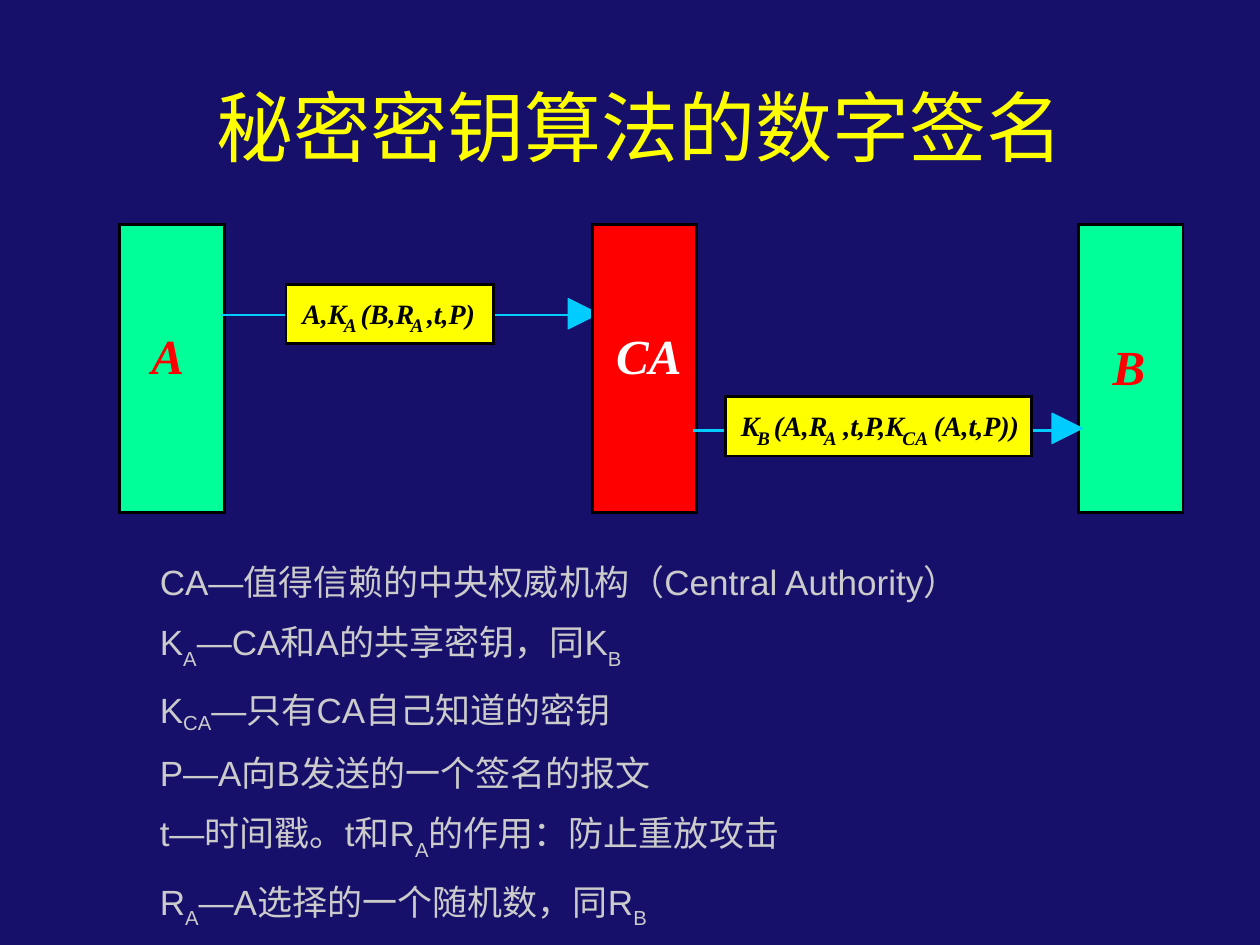
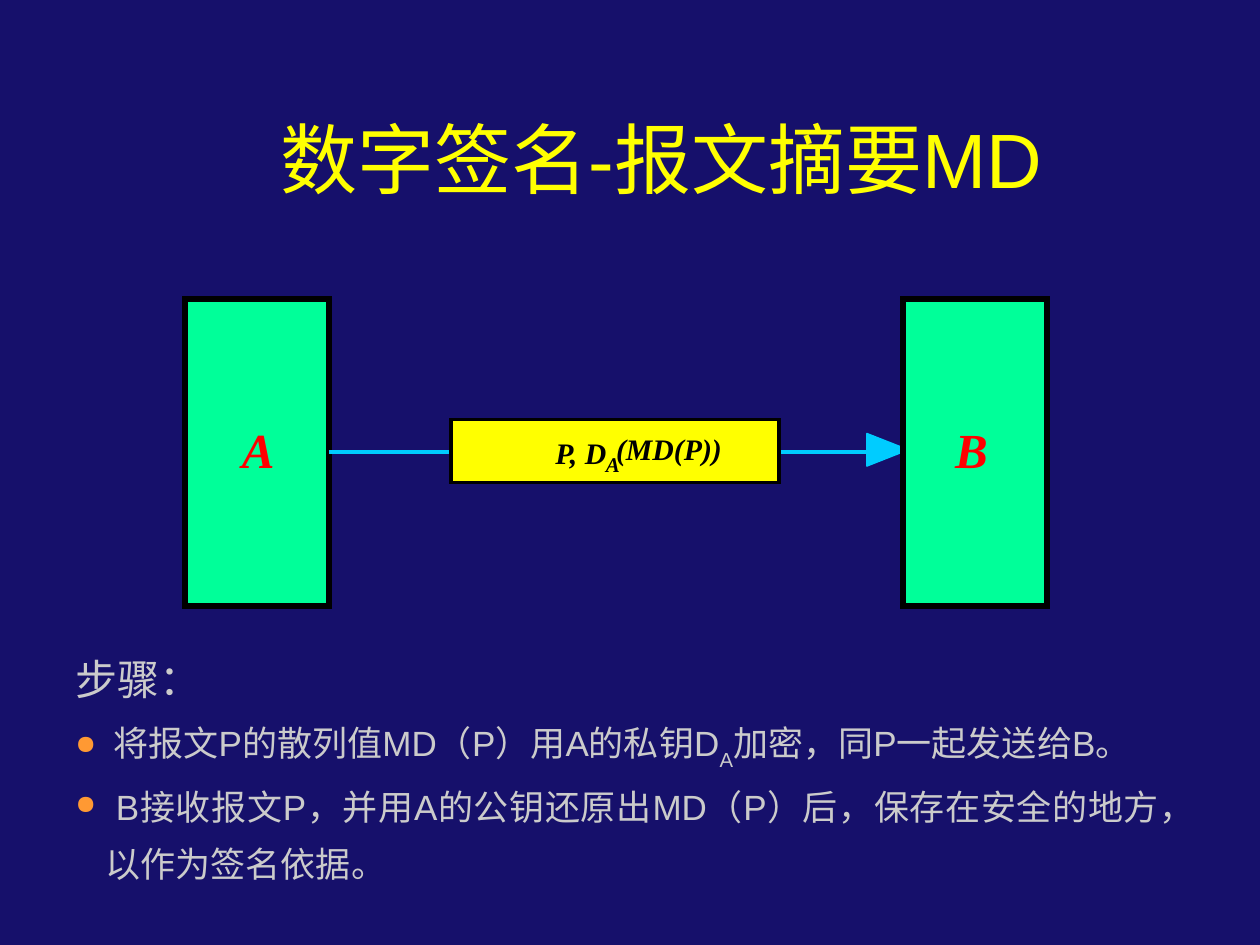
"""Build two slides on digital signatures."""
from lxml import etree
from pptx import Presentation
from pptx.dml.color import RGBColor
from pptx.enum.shapes import MSO_CONNECTOR, MSO_SHAPE
from pptx.enum.text import MSO_ANCHOR, MSO_AUTO_SIZE, PP_ALIGN
from pptx.oxml.ns import qn
from pptx.util import Inches, Pt

RECTANGLE = MSO_SHAPE.RECTANGLE
STRAIGHT = MSO_CONNECTOR.STRAIGHT
TOP, MIDDLE = MSO_ANCHOR.TOP, MSO_ANCHOR.MIDDLE
GROW = MSO_AUTO_SIZE.SHAPE_TO_FIT_TEXT
CENTER, JUSTIFY = PP_ALIGN.CENTER, PP_ALIGN.JUSTIFY
RIGHT_SIDE = 3

COLORS = {
    "background": "16106B",
    "title": "FFFF01",
    "body": "CBCBCB",
    "bullet": "FF9933",
    "party": "00FF99",
    "authority": "FF0000",
    "party_name": "FF0000",
    "authority_name": "FFFFFF",
    "message": "FFFF00",
    "arrow": "00CCFF",
    "ink": "000000",
}
SANS, SERIF, CHINESE = "Arial", "Times New Roman", "Noto Sans CJK SC"

DEFINITIONS = [
    ("CA—值得信赖的中央权威机构（Central Authority）", -30),
    ("K|A|—CA和A的共享密钥，同K|B", -30),
    ("K|CA|—只有CA自己知道的密钥", -20),
    ("P—A向B发送的一个签名的报文", -30),
    ("t—时间戳。t和R|A|的作用：防止重放攻击", -30),
    ("R|A|—A选择的一个随机数，同R|B", -30),
]
STEPS = [
    " 将报文P的散列值MD（P）用A的私钥D|A|加密，同P一起发送给B。",
    " B接收报文P，并用A的公钥还原出MD（P）后，保存在安全的地方，以作为签名依据。",
]


def color(name):
    """Return the named colour."""
    return RGBColor.from_string(COLORS[name])


def add_slide(presentation):
    """Add a blank slide with the shared background."""
    slide = presentation.slides.add_slide(presentation.slide_layouts[6])
    slide.background.fill.solid()
    slide.background.fill.fore_color.rgb = color("background")
    return slide


def add_box(slide, left, top, width, height, inset=(0.1, 0.05), anchor=TOP):
    """Add an empty wrapping text box and return its text frame."""
    box = slide.shapes.add_textbox(Inches(left), Inches(top), Inches(width), Inches(height))
    frame = box.text_frame
    frame.word_wrap = True
    frame.vertical_anchor = anchor
    frame.margin_left = frame.margin_right = Inches(inset[0])
    frame.margin_top = frame.margin_bottom = Inches(inset[1])
    return frame


def write(paragraph, text, size=20, fill="body", font=SANS, emphasis=False,
          align=JUSTIFY, spacing=None, before=0, baseline=-30):
    """Write text whose bar-separated odd parts are subscripts."""
    paragraph.alignment = align
    paragraph.space_before = Pt(before)
    if spacing:
        paragraph.line_spacing = spacing
    for index, part in enumerate(text.split("|")):
        run = paragraph.add_run()
        run.text = part
        run.font.size = Pt(size)
        run.font.bold = run.font.italic = emphasis
        run.font.color.rgb = color(fill)
        run.font.name = font
        properties = run._r.get_or_add_rPr()
        etree.SubElement(properties, qn("a:ea")).set("typeface", CHINESE)
        if index % 2:
            properties.set("baseline", str(baseline * 1000))


def add_bullet(paragraph, indent=0.24):
    """Give a paragraph a round coloured bullet with a hanging indent."""
    properties = paragraph._p.get_or_add_pPr()
    properties.set("marL", str(Inches(indent)))
    properties.set("indent", str(-Inches(indent)))
    bullet_color = etree.SubElement(properties, qn("a:buClr"))
    etree.SubElement(bullet_color, qn("a:srgbClr")).set("val", COLORS["bullet"])
    etree.SubElement(properties, qn("a:buSzPct")).set("val", "75000")
    etree.SubElement(properties, qn("a:buChar")).set("char", "●")


def add_title(slide, text, left, top):
    """Add a centred slide title."""
    frame = add_box(slide, left, top, 8.5, 1, anchor=MIDDLE)
    write(frame.paragraphs[0], text, size=44, fill="title", align=CENTER)


def add_label(slide, text, left, top, width, size, fill="ink", slack=0.06):
    """Add a one-line bold italic label with slack on both sides."""
    frame = add_box(slide, left - slack, top, width + 2 * slack, size / 60, inset=(0, 0))
    frame.word_wrap = False
    frame.auto_size = GROW
    write(frame.paragraphs[0], text, size=size, fill=fill, font=SERIF,
          emphasis=True, align=CENTER)


def add_rectangle(slide, left, top, width, height, fill, line_width):
    """Add a filled rectangle with a sharp black outline."""
    shape = slide.shapes.add_shape(
        RECTANGLE, Inches(left), Inches(top), Inches(width), Inches(height))
    shape.shadow.inherit = False
    shape.fill.solid()
    shape.fill.fore_color.rgb = color(fill)
    shape.line.color.rgb = color("ink")
    shape.line.width = Pt(line_width)
    outline = shape._element.spPr.find(qn("a:ln"))
    etree.SubElement(outline, qn("a:miter")).set("lim", "800000")
    return shape


def add_line(slide, start, end, y, width):
    """Add a horizontal message line."""
    line = slide.shapes.add_connector(STRAIGHT, Inches(start), Inches(y), Inches(end), Inches(y))
    line.line.color.rgb = color("arrow")
    line.line.width = Pt(width)
    etree.SubElement(line._element.spPr, qn("a:effectLst"))
    return line


def add_arrowhead(slide, left, top, width, height):
    """Add a solid triangle pointing right."""
    builder = slide.shapes.build_freeform(Inches(left), Inches(top + height))
    builder.add_line_segments([
        (Inches(left + width), Inches(top + height / 2)),
        (Inches(left), Inches(top)),
    ], close=True)
    shape = builder.convert_to_shape()
    shape.shadow.inherit = False
    shape.fill.solid()
    shape.fill.fore_color.rgb = color("arrow")
    shape.line.color.rgb = color("arrow")
    shape.line.width = Pt(0.75)


def add_formula(slide, pieces, top, size=16, subscript_size=11, drop=0.14):
    """Place formula pieces, every second one lowered as a subscript."""
    for index, (text, left, width) in enumerate(pieces):
        if index % 2:
            add_label(slide, text, left, top + drop, width, subscript_size)
        else:
            add_label(slide, text, left, top, width, size)


def build_secret_key_slide(presentation):
    """Build the slide on signing through a central authority."""
    slide = add_slide(presentation)
    add_title(slide, "秘密密钥算法的数字签名", 0.83, 0.5)
    column = {"top": 1.78, "width": 0.83, "height": 2.29, "line_width": 1.62}
    add_rectangle(slide, 0.95, fill="party", **column)
    add_label(slide, "A", 1.08, 2.58, 0.5, 28, "party_name")
    add_line(slide, 1.75, 4.6, 2.5, 1.62)
    add_arrowhead(slide, 4.51, 2.37, 0.24, 0.24)
    add_rectangle(slide, 2.27, 2.26, 1.65, 0.47, "message", 1.62)
    add_formula(slide, [
        ("A,K", 2.4, 0.35), ("A", 2.73, 0.1), ("(B,R", 2.86, 0.43),
        ("A", 3.26, 0.1), (",t,P)", 3.39, 0.38),
    ], 2.35)
    add_rectangle(slide, 8.56, fill="party", **column)
    add_label(slide, "B", 8.83, 2.67, 0.26, 28, "party_name")
    add_rectangle(slide, 4.7, fill="authority", **column)
    add_label(slide, "CA", 4.89, 2.58, 0.52, 28, "authority_name")
    add_line(slide, 5.5, 8.35, 3.42, 1.62)
    add_arrowhead(slide, 8.35, 3.28, 0.24, 0.24)
    add_rectangle(slide, 5.76, 3.15, 2.43, 0.47, "message", 1.62)
    add_formula(slide, [
        ("K", 5.88, 0.15), ("B", 6.01, 0.1), ("(A,R", 6.14, 0.43), ("A", 6.54, 0.1),
        (",t,P,K", 6.68, 0.51), ("CA", 7.16, 0.21), ("(A,t,P))", 7.41, 0.68),
    ], 3.24)
    frame = add_box(slide, 1.17, 4.33, 8.17, 3.1)
    for index, (text, baseline) in enumerate(DEFINITIONS):
        paragraph = frame.add_paragraph() if index else frame.paragraphs[0]
        write(paragraph, text, spacing=1.2, before=5 if index else 0, baseline=baseline)


def build_digest_slide(presentation):
    """Build the slide on signing a message digest."""
    slide = add_slide(presentation)
    add_title(slide, "数字签名-报文摘要MD", 1, 0.75)
    frame = add_box(slide, 0.5, 5, 9.08, 2.5)
    write(frame.paragraphs[0], "步骤：", size=24, spacing=1.35)
    for text in STEPS:
        paragraph = frame.add_paragraph()
        write(paragraph, text, spacing=1.35)
        add_bullet(paragraph)
    column = {"top": 2.37, "width": 1.14, "height": 2.44, "line_width": 3.5}
    sender = add_rectangle(slide, 1.47, fill="party", **column)
    add_label(slide, "A", 1.92, 3.33, 0.26, 28, "party_name")
    line = add_line(slide, 2.61, 6.92, 3.59, 2.25)
    line.begin_connect(sender, RIGHT_SIDE)
    add_arrowhead(slide, 6.88, 3.44, 0.33, 0.26)
    add_rectangle(slide, 3.58, 3.33, 2.6, 0.5, "message", 2.25)
    add_formula(slide, [("P, D", 4.13, 0.96), ("A", 4.81, 0.11)], 3.45, 17, 12, 0.13)
    add_formula(slide, [("(MD(P))", 4.89, 0.84)], 3.42, 17)
    add_rectangle(slide, 7.17, fill="party", **column)
    add_label(slide, "B", 7.58, 3.33, 0.26, 28, "party_name")


def main():
    """Build and save the presentation."""
    presentation = Presentation()
    presentation.slide_width = Inches(10)
    presentation.slide_height = Inches(7.5)
    build_secret_key_slide(presentation)
    build_digest_slide(presentation)
    presentation.save("out.pptx")


if __name__ == "__main__":
    main()
